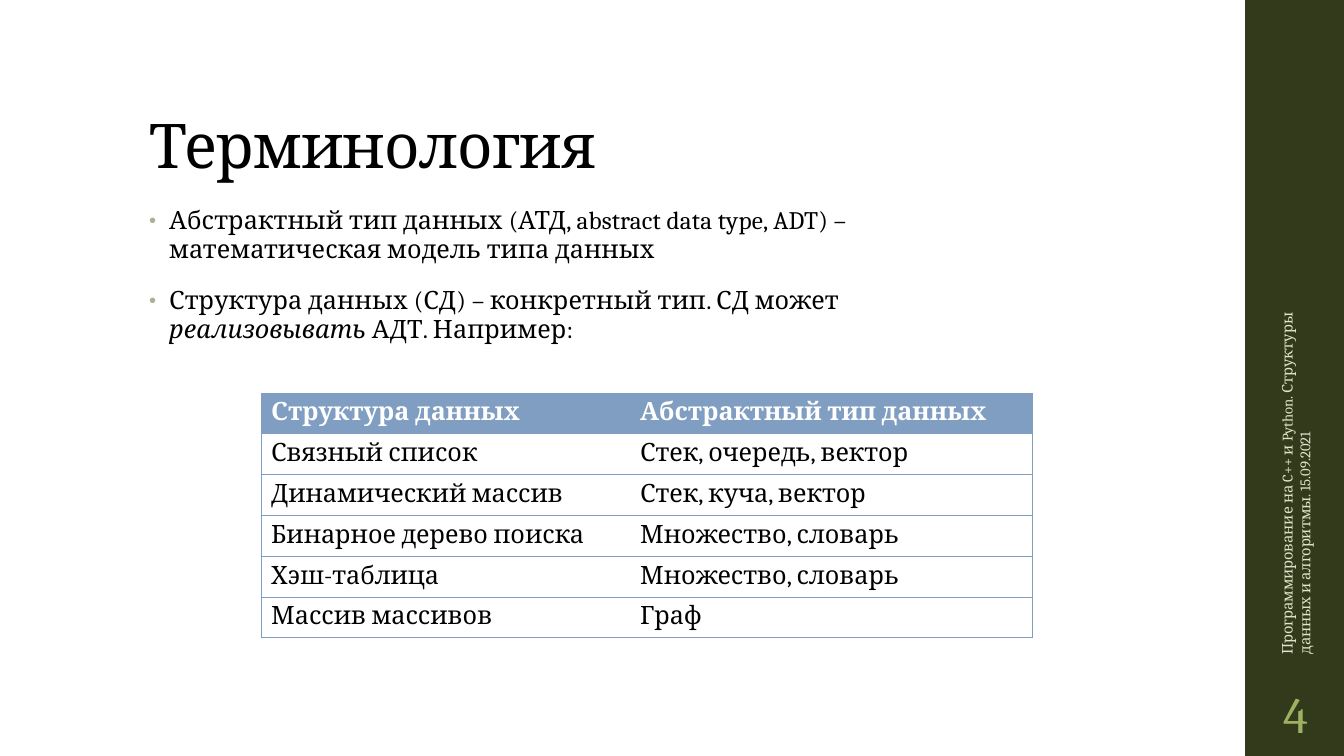
from dataclasses import dataclass, field

from lxml import etree
from pptx import Presentation
from pptx.dml.color import RGBColor
from pptx.enum.shapes import MSO_SHAPE
from pptx.enum.text import MSO_ANCHOR, PP_ALIGN
from pptx.oxml.ns import qn
from pptx.util import Inches, Pt

RECTANGLE = MSO_SHAPE.RECTANGLE
TOP, MIDDLE, BOTTOM = MSO_ANCHOR.TOP, MSO_ANCHOR.MIDDLE, MSO_ANCHOR.BOTTOM
LEFT, CENTER = PP_ALIGN.LEFT, PP_ALIGN.CENTER

BLACK = RGBColor(0x00, 0x00, 0x00)
WHITE = RGBColor(0xFF, 0xFF, 0xFF)
OLIVE = RGBColor(0x33, 0x3A, 0x1C)
PALE_GREEN = RGBColor(0xDF, 0xE5, 0xCA)
LEAF_GREEN = RGBColor(0x9E, 0xB1, 0x60)
BULLET_GREEN = RGBColor(0xA5, 0xB5, 0x92)
BLUE = RGBColor(0x80, 0x9E, 0xC2)
FONT = "Cambria"


@dataclass
class Piece:
    text: str
    italic: bool = False


@dataclass
class TextBlock:
    left: float
    top: float
    width: float
    height: float
    paragraphs: list[list[Piece]]
    size: float
    color: RGBColor
    anchor: MSO_ANCHOR = TOP
    spacing: float = 0  # between letters, in points
    rotation: float = 0
    bulleted: bool = False
    paragraph_format: dict = field(default_factory=dict)
    frame_format: dict = field(default_factory=dict)


TEXT_BLOCKS = [
    # Title
    TextBlock(1.38, 0.4, 10.6, 1.45, [[Piece("Терминология")]], 44, BLACK,
              BOTTOM, spacing=-0.5, paragraph_format={"line_spacing": 0.9}),
    # Definitions
    TextBlock(1.38, 2, 8.86, 1.75, [
        [Piece("Абстрактный тип данных (АТД, abstract data type, ADT) – "
               "математическая модель типа данных")],
        [Piece("Структура данных (СД) – конкретный тип. СД может "),
         Piece("реализовывать ", italic=True),
         Piece("АДТ. Например:")],
    ], 18, BLACK, spacing=0.1, bulleted=True, paragraph_format={
        "line_spacing": 0.95, "space_before": Pt(14), "space_after": Pt(2)}),
    # Course name on the side band
    TextBlock(10.89, 4.43, 3.92, 0.4, [[Piece(
        "Программирование на C++ и Python. Структуры данных и алгоритмы. "
        "15.09.2021")]], 10.5, PALE_GREEN, MIDDLE, rotation=270),
    # Slide number
    TextBlock(12.35, 6.75, 1, 0.65, [[Piece("4")]], 36, LEAF_GREEN, MIDDLE,
              paragraph_format={"alignment": CENTER},
              frame_format={"margin_left": Inches(0.05),
                            "margin_right": Inches(0.05)}),
]

STRUCTURE_ROWS = [
    ("Структура данных", "Абстрактный тип данных"),
    ("Связный список", "Стек, очередь, вектор"),
    ("Динамический массив", "Стек, куча, вектор"),
    ("Бинарное дерево поиска", "Множество, словарь"),
    ("Хэш-таблица", "Множество, словарь"),
    ("Массив массивов", "Граф"),
]
COLUMN_WIDTHS = (3.66, 3.99)
ROW_HEIGHT = 0.405


def apply(target, values: dict) -> None:
    for name, value in values.items():
        setattr(target, name, value)


def add_run(paragraph, text: str, size: float, color: RGBColor,
            bold: bool = False, italic: bool = False, spacing: float = 0) -> None:
    run = paragraph.add_run()
    run.text = text
    apply(run.font, {"name": FONT, "size": Pt(size), "bold": bold,
                     "italic": italic})
    run.font.color.rgb = color
    if spacing:
        run.font._element.set("spc", str(round(spacing * 100)))


def add_bullet(paragraph) -> None:
    properties = paragraph._p.get_or_add_pPr()
    properties.set("marL", str(Inches(0.2)))
    properties.set("indent", str(-Inches(0.2)))
    color = etree.SubElement(properties, qn("a:buClr"))
    etree.SubElement(color, qn("a:srgbClr"), val=str(BULLET_GREEN))
    etree.SubElement(properties, qn("a:buSzPct"), val="80000")
    etree.SubElement(properties, qn("a:buFont"), typeface="Arial")
    etree.SubElement(properties, qn("a:buChar"), char="•")


def add_text_block(slide, block: TextBlock) -> None:
    box = slide.shapes.add_textbox(Inches(block.left), Inches(block.top),
                                   Inches(block.width), Inches(block.height))
    box.rotation = block.rotation
    frame = box.text_frame
    apply(frame, {"word_wrap": True, "vertical_anchor": block.anchor,
                  **block.frame_format})
    for index, pieces in enumerate(block.paragraphs):
        paragraph = frame.add_paragraph() if index else frame.paragraphs[0]
        apply(paragraph, {"alignment": LEFT, **block.paragraph_format})
        if block.bulleted:
            add_bullet(paragraph)
        for piece in pieces:
            add_run(paragraph, piece.text, block.size, block.color,
                    italic=piece.italic, spacing=block.spacing)


def add_borders(cell, sides: str) -> None:
    """Draw the named sides (of L, R, T, B) and leave the others empty."""
    properties = cell._tc.get_or_add_tcPr()
    for side in "LRTB":
        line = etree.SubElement(properties, qn(f"a:ln{side}"),
                                w=str(Pt(0.75)))
        if side in sides:
            fill = etree.SubElement(line, qn("a:solidFill"))
            etree.SubElement(fill, qn("a:srgbClr"), val=str(BLUE))
        else:
            etree.SubElement(line, qn("a:noFill"))


def add_structure_table(slide) -> None:
    row_count = len(STRUCTURE_ROWS)
    table = slide.shapes.add_table(
        row_count, len(COLUMN_WIDTHS), Inches(2.59), Inches(3.9),
        Inches(sum(COLUMN_WIDTHS)), Inches(ROW_HEIGHT * row_count)).table
    table.horz_banding = False
    for column, width in zip(table.columns, COLUMN_WIDTHS):
        column.width = Inches(width)
    for row_index, texts in enumerate(STRUCTURE_ROWS):
        is_header = row_index == 0
        for column_index, text in enumerate(texts):
            cell = table.cell(row_index, column_index)
            add_borders(cell, "TB" + "LR"[column_index])
            if is_header:
                cell.fill.solid()
                cell.fill.fore_color.rgb = BLUE
            else:
                cell.fill.background()
            add_run(cell.text_frame.paragraphs[0], text, 18,
                    WHITE if is_header else BLACK, bold=is_header)


def add_side_band(slide) -> None:
    band = slide.shapes.add_shape(RECTANGLE, Inches(12.35), 0,
                                  Inches(1), Inches(7.5))
    band.shadow.inherit = False
    band.fill.solid()
    band.fill.fore_color.rgb = OLIVE
    band.line.fill.background()


def main() -> None:
    presentation = Presentation()
    apply(presentation, {"slide_width": Inches(13.33),
                         "slide_height": Inches(7.5)})
    slide = presentation.slides.add_slide(presentation.slide_layouts[6])
    add_side_band(slide)
    for block in TEXT_BLOCKS:
        add_text_block(slide, block)
    add_structure_table(slide)
    presentation.save("out.pptx")


if __name__ == "__main__":
    main()
